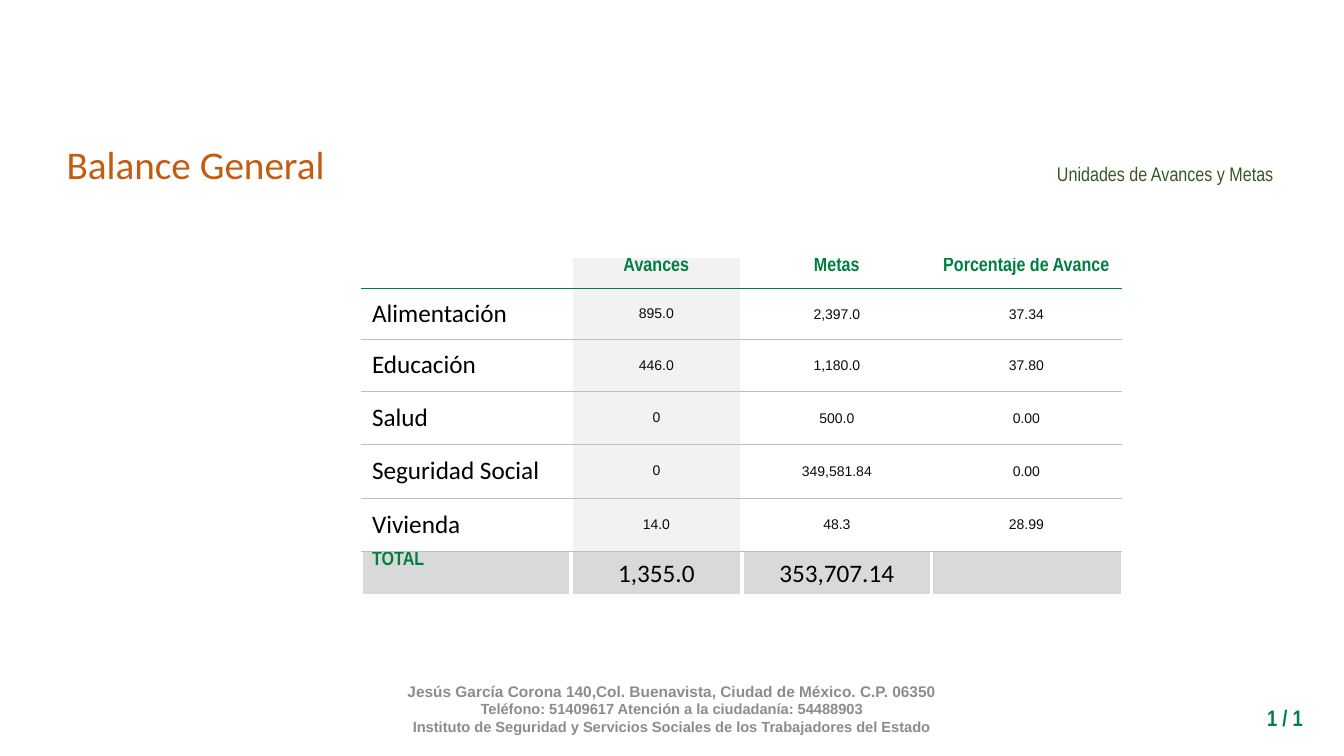
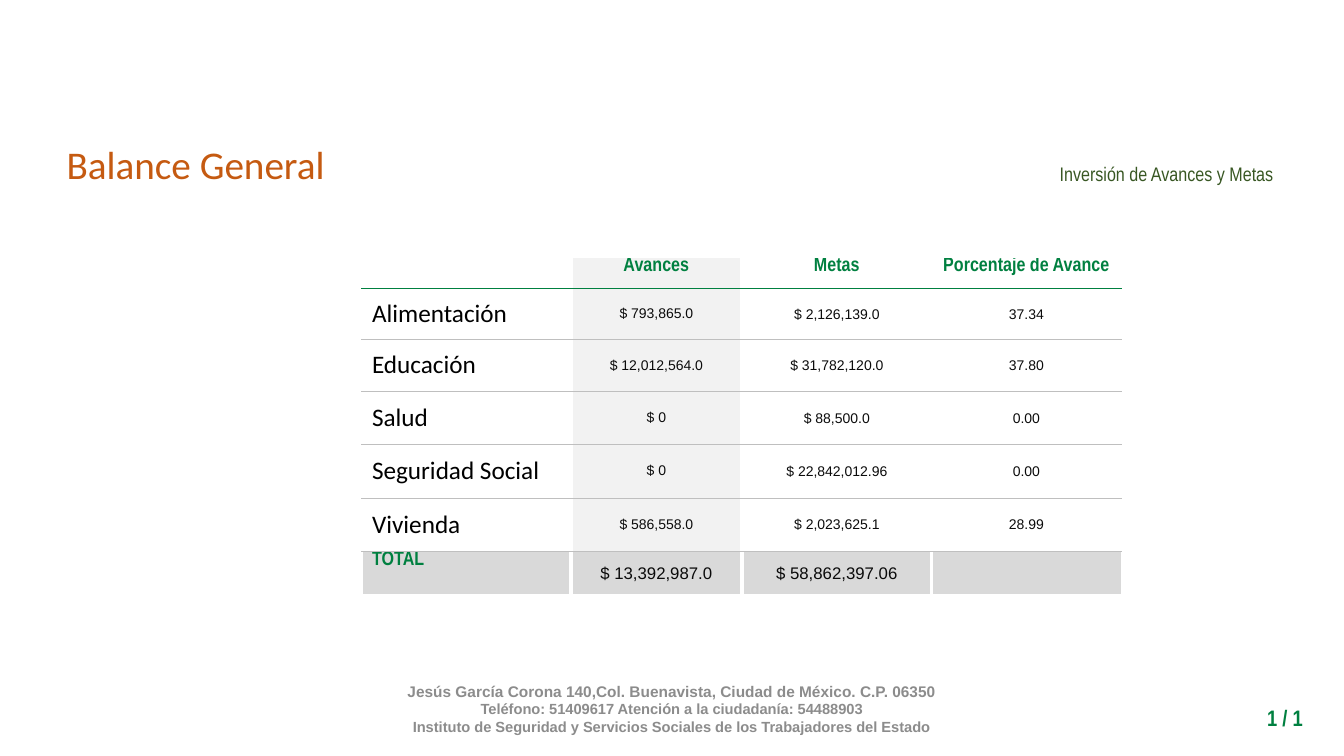
"""Build the two balance slides with their shared title, table style and footer."""
from dataclasses import dataclass

from lxml import etree
from pptx import Presentation
from pptx.dml.color import RGBColor
from pptx.enum import text as t
from pptx.oxml.ns import qn
from pptx.util import Inches, Pt

COLORS = {
    "green": "008040",
    "orange": "C55A11",
    "olive": "385723",
    "footer": "8C8C8C",
    "black": "000000",
    "ink": "0B0B0B",
    "rule": "BFBFBF",
    "white": "FFFFFF",
    "column": "F2F2F2",
    "total": "D9D9D9",
}


@dataclass(frozen=True)
class Style:
    """Font settings of one kind of text."""

    font: str
    size: float
    color: str
    bold: bool = False


TITLE = Style("Calibri", 28, "orange")
SUBTITLE = Style("Arial Narrow", 14, "olive")
PAGE = Style("Arial Narrow", 16, "green", True)
HEADING = Style("Arial Narrow", 14, "green", True)
LABEL = Style("Calibri", 18, "black")
VALUE = Style("Arial", 10, "ink")
UNIT_TOTAL = Style("Calibri", 18, "black")
MONEY_TOTAL = Style("Arial", 12, "ink")
ADDRESS = Style("Arial", 11, "footer", True)
CONTACT = Style("Arial", 10.5, "footer", True)

LEFT, CENTER, RIGHT = t.PP_ALIGN.LEFT, t.PP_ALIGN.CENTER, t.PP_ALIGN.RIGHT
TOP, MIDDLE = t.MSO_ANCHOR.TOP, t.MSO_ANCHOR.MIDDLE

FOOTER = [
    ("Jesús García Corona 140,Col. Buenavista, Ciudad de México. C.P. 06350", ADDRESS),
    ("Teléfono: 51409617 Atención a la ciudadanía: 54488903", CONTACT),
    ("Instituto de Seguridad y Servicios Sociales de los Trabajadores del Estado", CONTACT),
]
HEADINGS = ["", "Avances", "Metas", "Porcentaje de Avance"]
COLUMN_WIDTHS = [2.07, 1.7, 1.88, 1.88]
ROW_HEIGHTS = [0.31, 0.51, 0.51, 0.53, 0.53, 0.53, 0.44]

UNITS = [
    ["Alimentación", "895.0", "2,397.0", "37.34"],
    ["Educación", "446.0", "1,180.0", "37.80"],
    ["Salud", "0", "500.0", "0.00"],
    ["Seguridad Social", "0", "349,581.84", "0.00"],
    ["Vivienda", "14.0", "48.3", "28.99"],
    ["TOTAL", "1,355.0", "353,707.14", ""],
]
INVESTMENT = [
    ["Alimentación", "$ 793,865.0", "$ 2,126,139.0", "37.34"],
    ["Educación", "$ 12,012,564.0", "$ 31,782,120.0", "37.80"],
    ["Salud", "$ 0", "$ 88,500.0", "0.00"],
    ["Seguridad Social", "$ 0", "$ 22,842,012.96", "0.00"],
    ["Vivienda", "$ 586,558.0", "$ 2,023,625.1", "28.99"],
    ["TOTAL", "$ 13,392,987.0", "$ 58,862,397.06", ""],
]


def rgb(name):
    """Return the named colour."""
    return RGBColor.from_string(COLORS[name])


def format_paragraph(paragraph, style, align):
    """Apply a style and an alignment to a paragraph."""
    paragraph.alignment = align
    font = paragraph.font
    font.name, font.size, font.bold = style.font, Pt(style.size), style.bold
    font.color.rgb = rgb(style.color)


def fill_frame(frame, lines, align, anchor):
    """Write styled lines into a wrapping text frame."""
    frame.word_wrap = True
    frame.auto_size = t.MSO_AUTO_SIZE.NONE
    frame.vertical_anchor = anchor
    for index, (line, style) in enumerate(lines):
        paragraph = frame.add_paragraph() if index else frame.paragraphs[0]
        paragraph.text = line
        format_paragraph(paragraph, style, align)


def add_text(slide, box, lines, align, anchor):
    """Add a text box and return it."""
    shape = slide.shapes.add_textbox(*map(Inches, box))
    fill_frame(shape.text_frame, lines, align, anchor)
    return shape


def add_title(slide, title):
    """Place and format the title placeholder."""
    holder = slide.shapes.title
    holder.left, holder.top = Inches(0.56), Inches(1.34)
    holder.width, holder.height = Inches(3.2), Inches(0.57)
    fill_frame(holder.text_frame, [(title, TITLE)], LEFT, MIDDLE)


def add_border(cell, side, color, width):
    """Draw one border of a cell; side is L, R, T or B."""
    properties = cell._tc.get_or_add_tcPr()
    line = etree.SubElement(properties, qn(f"a:ln{side}"), w=str(Pt(width)))
    fill = etree.SubElement(line, qn("a:solidFill"))
    etree.SubElement(fill, qn("a:srgbClr"), val=COLORS[color])


def add_borders(cell, row, column):
    """Draw the borders that belong to a cell's place in the table."""
    last_row, last_column = len(ROW_HEIGHTS) - 1, len(COLUMN_WIDTHS) - 1
    rules = [("green", 0.25)] + [("rule", 0.5)] * (last_row - 1) + [("white", 3)]
    if column > 0:
        add_border(cell, "L", "white", 3)
    if column < last_column:
        add_border(cell, "R", "white", 3)
    if row > 0:
        add_border(cell, "T", *rules[row - 1])
    add_border(cell, "B", *rules[row])


def shade(cell, row, column):
    """Fill the total row and the progress column."""
    if row == len(ROW_HEIGHTS) - 1:
        color = "total"
    elif column == 1:
        color = "column"
    else:
        cell.fill.background()
        return
    cell.fill.solid()
    cell.fill.fore_color.rgb = rgb(color)


def cell_style(row, column, total_style):
    """Choose the text style of a cell."""
    is_total = row == len(ROW_HEIGHTS) - 1
    if row == 0 or (is_total and column == 0):
        return HEADING
    if is_total:
        return total_style
    return VALUE if column else LABEL


def add_balance_table(slide, records, total_style):
    """Add the table of progress against goals."""
    rows = [HEADINGS] + records
    frame = slide.shapes.add_table(
        len(rows), len(HEADINGS), Inches(3.59), Inches(2.55),
        Inches(sum(COLUMN_WIDTHS)), Inches(sum(ROW_HEIGHTS)))
    table = frame.table
    table.first_row = table.horz_banding = False
    for column, width in zip(table.columns, COLUMN_WIDTHS):
        column.width = Inches(width)
    for row, height in zip(table.rows, ROW_HEIGHTS):
        row.height = Inches(height)
    for r, record in enumerate(rows):
        for c, value in enumerate(record):
            cell = table.cell(r, c)
            style = cell_style(r, c, total_style)
            add_borders(cell, r, c)
            shade(cell, r, c)
            if style is HEADING:
                cell.margin_top = cell.margin_bottom = 0
            elif c > 1:
                cell.margin_left = cell.margin_right = cell.margin_top = Inches(0.01)
                cell.margin_bottom = 0
            cell.vertical_anchor = TOP if style is HEADING else MIDDLE
            cell.text = value
            format_paragraph(cell.text_frame.paragraphs[0], style, CENTER if c else LEFT)


def add_shared_footer(slide):
    """Put the address lines on the slide's layout."""
    footer = add_text(slide, (2.88, 6.83, 7.57, 0.4), FOOTER, CENTER, MIDDLE)
    slide.slide_layout.shapes.element.append(footer.element)


def add_balance_slide(deck, subtitle, records, total_style):
    """Add one balance slide and return it."""
    slide = deck.slides.add_slide(deck.slide_layouts[5])
    add_title(slide, "Balance General")
    units = add_text(slide, (6.69, 1.23, 6.04, 0.95), [(subtitle, SUBTITLE)], RIGHT, MIDDLE)
    units.text_frame.paragraphs[0].line_spacing = 1.15
    add_balance_table(slide, records, total_style)
    add_text(slide, (11.76, 6.94, 1.26, 0.37), [("1 / 1", PAGE)], RIGHT, TOP)
    return slide


def main():
    """Build and save the presentation."""
    deck = Presentation()
    deck.slide_width, deck.slide_height = Inches(13.33), Inches(7.5)
    first = add_balance_slide(deck, "Unidades de Avances y Metas", UNITS, UNIT_TOTAL)
    add_balance_slide(deck, "Inversión de Avances y Metas", INVESTMENT, MONEY_TOTAL)
    add_shared_footer(first)
    deck.save("out.pptx")


if __name__ == "__main__":
    main()
